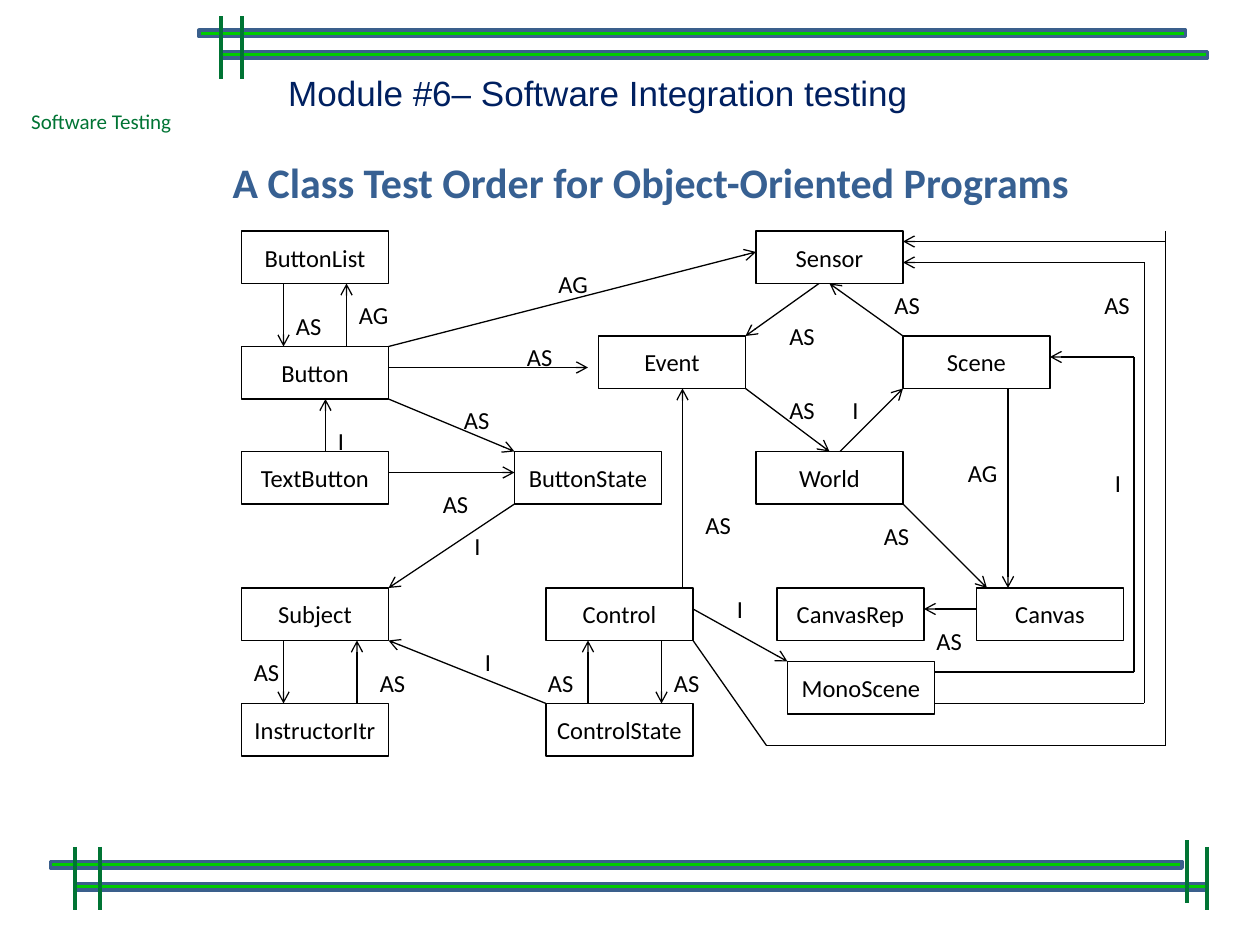
import pptx
import pptx.dml.color
import pptx.enum.shapes
import pptx.enum.text
import pptx.util
from lxml import etree
from pptx.oxml.ns import qn

Cm = pptx.util.Cm
Pt = pptx.util.Pt
RGBColor = pptx.dml.color.RGBColor
Shape = pptx.enum.shapes.MSO_SHAPE
Align = pptx.enum.text.PP_ALIGN
Anchor = pptx.enum.text.MSO_ANCHOR
AutoSize = pptx.enum.text.MSO_AUTO_SIZE

BLACK = RGBColor(0x00, 0x00, 0x00)
WHITE = RGBColor(0xFF, 0xFF, 0xFF)
BRIGHT_GREEN = RGBColor(0x00, 0xCC, 0x00)
DARK_GREEN = RGBColor(0x00, 0x74, 0x34)
BAR_BLUE = RGBColor(0x3A, 0x5F, 0x8C)
TITLE_BLUE = RGBColor(0x37, 0x60, 0x92)
NAVY = RGBColor(0x00, 0x20, 0x60)

GRID = Cm(2.54 / 12)
BOX_WIDTH, BOX_HEIGHT = 14 * GRID, 5 * GRID


def write_text(shape, text, size=14, font="Calibri", color=BLACK, bold=False,
               align=Align.LEFT, anchor=Anchor.TOP, wrap=False, grow=False):
    frame = shape.text_frame
    frame.word_wrap = wrap
    frame.auto_size = AutoSize.SHAPE_TO_FIT_TEXT if grow else AutoSize.NONE
    frame.vertical_anchor = anchor
    para = frame.paragraphs[0]
    para.alignment = align
    span = para.add_run()
    span.text = text
    span.font.size = Pt(size)
    span.font.name = font
    span.font.bold = bold
    span.font.color.rgb = color


def add_line(shapes, start, end, color=BLACK, width=0.75, arrow=False):
    line = shapes.add_connector(
        pptx.enum.shapes.MSO_CONNECTOR.STRAIGHT, *start, *end)
    line.line.color.rgb = color
    line.line.width = Pt(width)
    properties = line.element.spPr
    if arrow:
        etree.SubElement(properties.find(qn("a:ln")), qn("a:tailEnd"), type="arrow")
    etree.SubElement(properties, qn("a:effectLst"))


deck = pptx.Presentation()
deck.slide_width, deck.slide_height = Cm(25.4), Cm(19.05)
page = deck.slides.add_slide(deck.slide_layouts[5])

title = page.shapes.title
title.left, title.top, title.width, title.height = Cm(4.23), Cm(2.96), Cm(17.78), Cm(1.4)
title_frame = title.text_frame
title_frame.margin_left = title_frame.margin_right = Cm(0.4)
title_frame.margin_top = title_frame.margin_bottom = Cm(0.4)
write_text(title, "A Class Test Order for Object-Oriented Programs", size=24,
           color=TITLE_BLUE, bold=True, align=Align.CENTER,
           anchor=Anchor.MIDDLE, wrap=True)

course = page.shapes.add_textbox(Cm(0.38), Cm(2.06), Cm(3.38), Cm(0.77))
write_text(course, "Software Testing", size=12, color=DARK_GREEN, grow=True)

module = page.shapes.add_textbox(Cm(5.56), Cm(1.32), Cm(16.03), Cm(1.11))
write_text(module, "Module #6– Software Integration testing", size=20,
           font="Arial", color=NAVY, wrap=True, grow=True)

header = page.shapes.add_group_shape().shapes
rulings = [
    (header, 19.89, [(4.01, 0.61), (4.45, 1.04)], [(4.45, 0.33), (4.88, 0.33)]),
    (page.shapes, 22.81, [(1.02, 17.37), (1.52, 17.81)],
     [(1.52, 17.07), (2.01, 17.07), (24.33, 17.07), (23.93, 16.94)]),
]
for shapes, bar_width, bars, ticks in rulings:
    for left, top in bars:
        bar = shapes.add_shape(Shape.FLOWCHART_PROCESS, Cm(left), Cm(top),
                               Cm(bar_width), Cm(0.13))
        bar.shadow.inherit = False
        bar.fill.solid()
        bar.fill.fore_color.rgb = BRIGHT_GREEN
        bar.line.color.rgb = BAR_BLUE
        bar.line.width = Pt(2)
    for left, top in ticks:
        add_line(shapes, (Cm(left), Cm(top)), (Cm(left), Cm(top + 1.27)),
                 color=DARK_GREEN, width=2.25)

classes = {
    "ButtonList": (23, 22), "Button": (23, 33), "Sensor": (72, 22),
    "TextButton": (23, 43), "Subject": (23, 56), "InstructorItr": (23, 67),
    "ButtonState": (49, 43), "Event": (57, 32), "Scene": (86, 32),
    "World": (72, 43), "Control": (52, 56), "ControlState": (52, 67),
    "CanvasRep": (74, 56), "Canvas": (93, 56), "MonoScene": (75, 63),
}
for name, (column, row) in classes.items():
    box = page.shapes.add_shape(Shape.RECTANGLE, column * GRID, row * GRID,
                                BOX_WIDTH, BOX_HEIGHT)
    box.shadow.inherit = False
    box.fill.solid()
    box.fill.fore_color.rgb = WHITE
    box.line.color.rgb = BLACK
    box.line.width = Pt(0.75)
    write_text(box, name, align=Align.CENTER, anchor=Anchor.MIDDLE)

arrows = [
    (78, 27, 71, 32), (86, 32, 79, 27), (71, 37, 79, 43), (80, 43, 86, 37),
    (96, 37, 96, 56), (86, 48, 94, 56), (93, 58, 88, 58), (27, 27, 27, 33),
    (33, 33, 33, 27), (31, 43, 31, 38), (37, 45, 49, 45), (37, 38, 49, 43),
    (37, 35, 56, 35), (37, 33, 72, 24), (65, 56, 65, 37), (56, 67, 56, 61),
    (63, 61, 63, 67), (27, 61, 27, 67), (34, 67, 34, 61), (49, 48, 37, 56),
    (52, 67, 37, 61), (66, 58, 75, 63), (109, 25, 86, 25), (108, 34, 100, 34),
    (111, 23, 86, 23),
]
plain_lines = [
    (66, 61, 73, 71), (73, 71, 111, 71), (111, 22, 111, 71),
    (89, 64, 108, 64), (108, 34, 108, 64),
    (89, 67, 109, 67), (109, 25, 109, 67),
]
for lines, has_arrow in ((arrows, True), (plain_lines, False)):
    for x1, y1, x2, y2 in lines:
        add_line(page.shapes, (x1 * GRID, y1 * GRID), (x2 * GRID, y2 * GRID),
                 arrow=has_arrow)

label_widths = {"AG": 1.12, "AS": 1.04, "I": 0.64}
label_places = {
    "AG": [(33, 28), (91, 43), (52, 25)],
    "AS": [(27, 29), (74, 30), (84, 27), (74, 37), (104, 27), (88, 59),
           (35, 63), (23, 62), (41, 46), (43, 38), (49, 32), (63, 63),
           (51, 63), (66, 48), (83, 49)],
    "I": [(44, 50), (31, 40), (45, 61), (69, 56), (105, 44), (80, 37)],
}
for relation, places in label_places.items():
    for column, row in places:
        label = page.shapes.add_textbox(column * GRID, row * GRID,
                                        Cm(label_widths[relation]), Cm(0.86))
        write_text(label, relation, grow=True)

deck.save("out.pptx")
